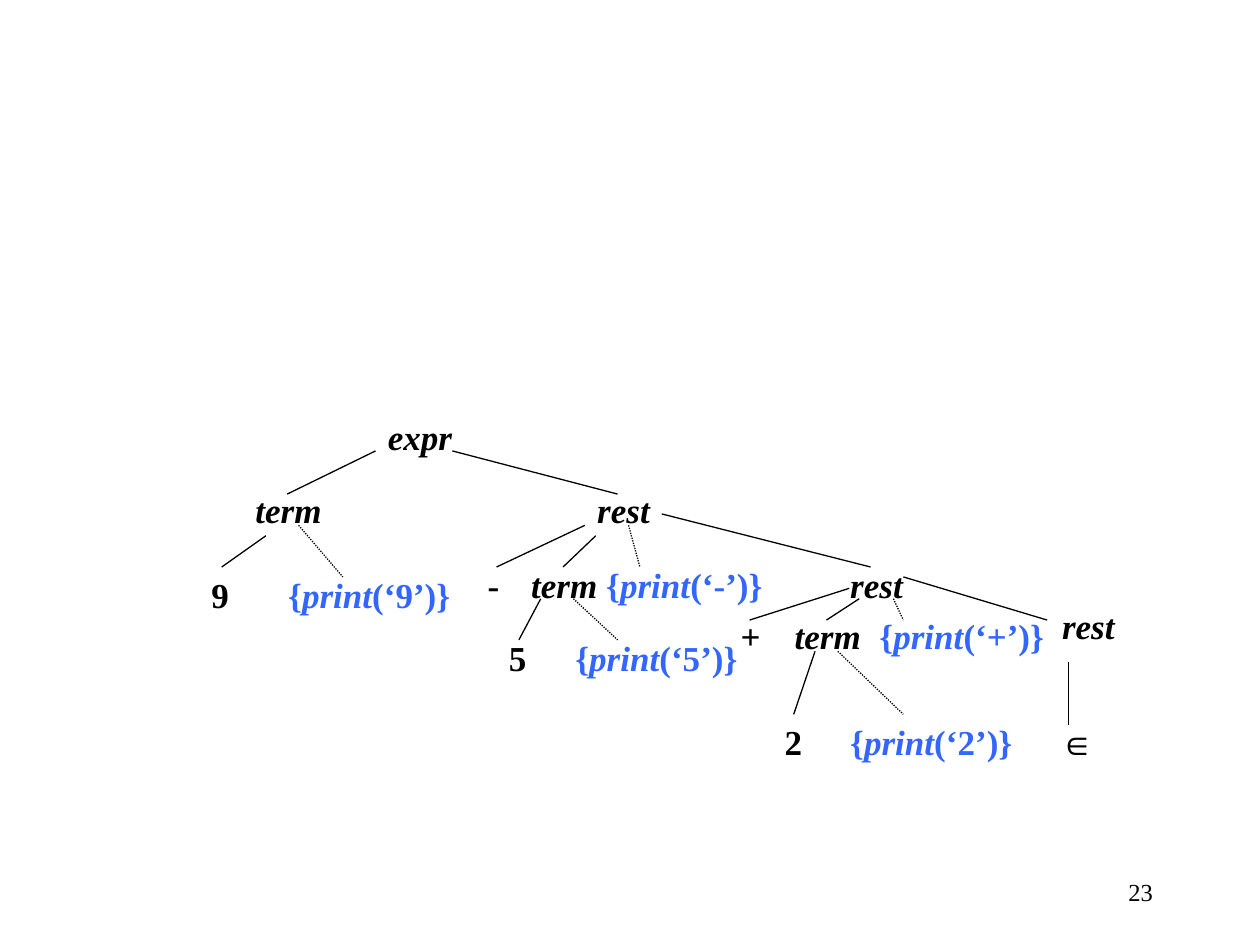
"""Draw a parse tree with its print actions."""
from lxml import etree
from pptx import Presentation
from pptx.dml.color import RGBColor
from pptx.enum.dml import MSO_LINE
from pptx.enum.shapes import MSO_CONNECTOR
from pptx.enum.text import MSO_ANCHOR, PP_ALIGN
from pptx.oxml.ns import qn
from pptx.util import Cm, Pt

LINE = MSO_CONNECTOR.STRAIGHT
DOT = MSO_LINE.ROUND_DOT
MID = MSO_ANCHOR.MIDDLE
LEFT, RIGHT = PP_ALIGN.LEFT, PP_ALIGN.RIGHT
BLACK = RGBColor(0x00, 0x00, 0x00)
BLUE = RGBColor(0x33, 0x66, 0xFF)

NODES = [
    ("expr", 7.57, 8.26), ("term", 4.9, 9.73), ("rest", 11.79, 9.73),
    ("rest", 16.89, 11.23), ("rest", 21.16, 12.07),
]
LEAVES = [
    ("9", 4.01, 11.43), ("-", 9.58, 11.23), ("5", 10.01, 12.7),
    ("+", 14.68, 12.27), ("2", 15.57, 14.4),
]
ACTIONS = [
    ("", "9", 5.56, 11.43), ("term ", "-", 10.46, 11.23),
    ("", "5", 11.35, 12.7), ("term\t", "+", 15.77, 12.27),
    ("", "2", 16.89, 14.4),
]
EDGES = [
    (7.57, 9.09, 5.79, 9.96), (9.12, 9.09, 12.45, 9.96),
    (5.36, 10.8, 4.47, 11.43), (11.79, 10.59, 10.01, 11.43),
    (12.01, 10.8, 11.35, 11.43), (13.34, 10.36, 17.55, 11.43),
    (10.9, 12.07, 10.46, 12.9), (17.12, 11.86, 15.11, 12.5),
    (17.32, 12.07, 16.66, 12.5), (18.21, 11.63, 21.11, 12.5),
    (16.43, 13.13, 16, 14.4), (21.54, 13.34, 21.54, 14.61),
]
DOTTED = [
    (6.02, 10.59, 6.91, 11.63), (12.67, 10.59, 12.9, 11.43),
    (11.56, 12.07, 12.45, 12.9), (18.01, 12.07, 18.21, 12.5),
    (16.89, 13.13, 18.21, 14.4),
]


def write(para, text, size=20, face="Times New Roman", color=BLACK, bold=True, slant=False):
    """Add one formatted run to a paragraph."""
    run = para.add_run()
    run.text = text
    font = run.font
    font.size, font.name = Pt(size), face
    font.bold, font.italic = bold, slant
    font.color.rgb = color


class Tree:
    """Hold the style and the slide of the tree."""

    def __init__(self, slide, width=0.75, high=1.12):
        """Keep the slide, line width and row height."""
        self.slide, self.width, self.high = slide, width, high

    def box(self, x, y, wide, high=None, align=LEFT, anchor=None):
        """Add a text box and return its paragraph."""
        shape = self.slide.shapes.add_textbox(Cm(x), Cm(y), Cm(wide), Cm(high or self.high))
        frame = shape.text_frame
        frame.word_wrap = True
        if anchor is not None:
            frame.vertical_anchor = anchor
        para = frame.paragraphs[0]
        para.alignment = align
        return para

    def node(self, text, x, y, wide=3.33, **style):
        """Add a labelled node."""
        write(self.box(x, y, wide), text, **style)

    def action(self, head, sign, x, y):
        """Add a print action after an optional node label."""
        para = self.box(x, y, 6.43)
        if head.endswith("\t"):
            tabs = etree.SubElement(para._p.get_or_add_pPr(), qn("a:tabLst"))
            etree.SubElement(tabs, qn("a:tab"), pos=str(Cm(1.71)), algn="l")
        if head:
            write(para, head, slant=True)
        write(para, "{", color=BLUE)
        write(para, "print", color=BLUE, slant=True)
        write(para, f"(‘{sign}’)}}", color=BLUE)

    def edge(self, x1, y1, x2, y2, dash=None):
        """Join two points with a line."""
        link = self.slide.shapes.add_connector(LINE, Cm(x1), Cm(y1), Cm(x2), Cm(y2))
        link.line.color.rgb = BLACK
        link.line.width = Pt(self.width)
        if dash is not None:
            link.line.dash_style = dash
        etree.SubElement(link._element.spPr, qn("a:effectLst"))


def main():
    """Build and save the slide."""
    deck = Presentation()
    deck.slide_width, deck.slide_height = Cm(25.4), Cm(19.05)
    tree = Tree(deck.slides.add_slide(deck.slide_layouts[6]))
    for item in ACTIONS:
        tree.action(*item)
    for item in NODES:
        tree.node(*item, slant=True)
    for item in LEAVES:
        tree.node(*item, wide=1.32)
    tree.node("∈", 21.11, 14.4, wide=1.32, face="Arial")
    for ends in EDGES:
        tree.edge(*ends)
    for ends in DOTTED:
        tree.edge(*ends, dash=DOT)
    page = tree.box(18.21, 17.35, 5.28, 1.27, RIGHT, MID)
    write(page, "23", size=14, bold=False)
    deck.save("out.pptx")


if __name__ == "__main__":
    main()
